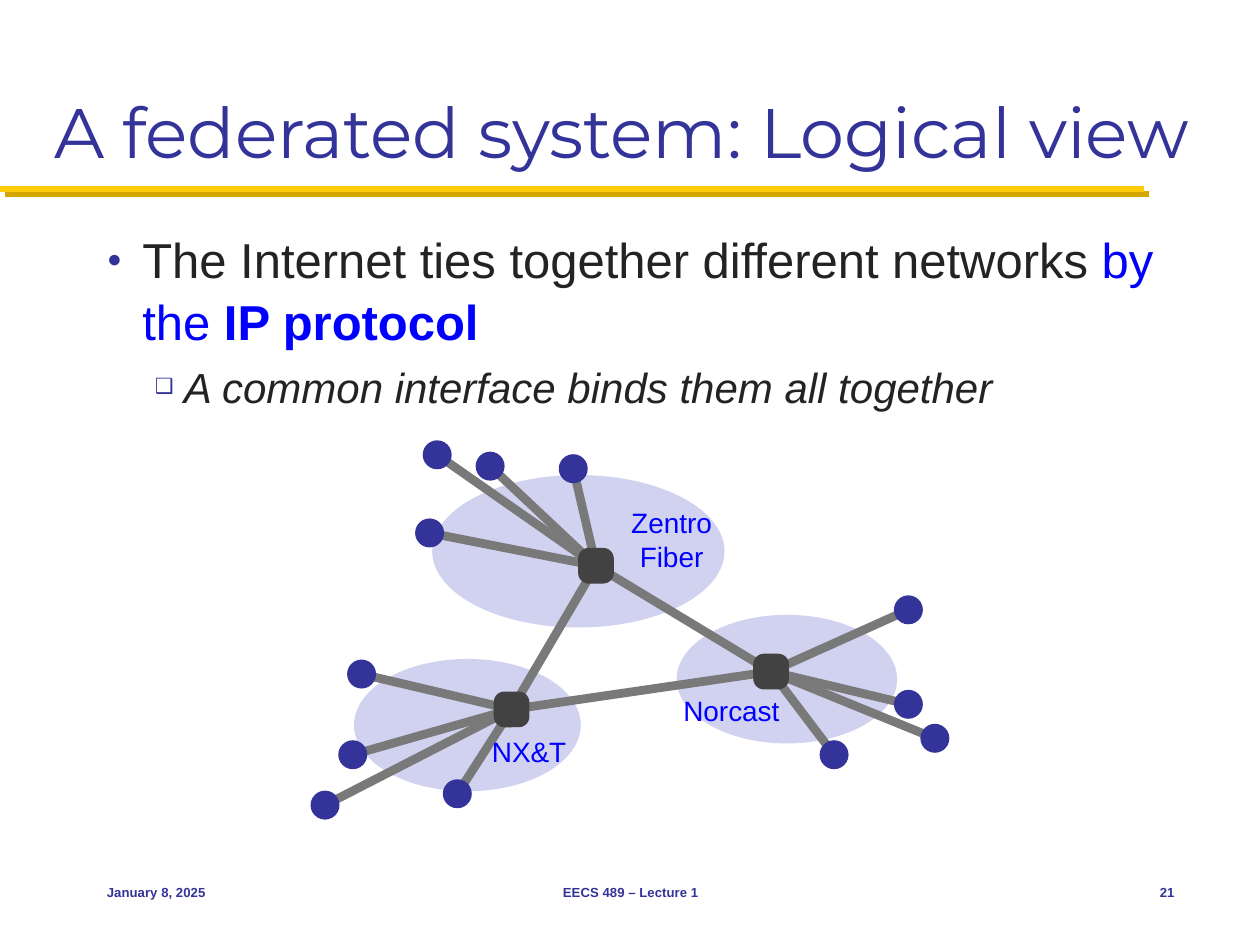
import lxml.etree
import pptx
import pptx.dml.color
import pptx.enum.shapes
import pptx.enum.text
import pptx.oxml.ns
import pptx.util

COLUMNS, ROWS = 100, 75
NAVY, INK, BLUE, GOLD = "333399", "232323", "0000FF", "FFCB05"
CLOUD, LINK, ROUTER = "D1D1F0", "797979", "424242"
HOST_SIZE, ROUTER_SIZE = 2.3, 2.84
SHAPE = pptx.enum.shapes.MSO_SHAPE
ALIGN = pptx.enum.text.PP_ALIGN
ANCHOR = pptx.enum.text.MSO_ANCHOR

NETWORKS = [
    {"label": ["Norcast"], "label_box": (52.1, 54.6, 11.9, 3.5),
     "cloud": (53.7, 48.8, 17.5, 10.2), "router": (61.2, 53.3),
     "hosts": [(72.1, 48.4), (66.2, 59.9), (72.1, 55.9), (74.2, 58.6)]},
    {"label": ["Zentro", "Fiber"], "label_box": (48.9, 39.7, 8.8, 6.2),
     "cloud": (34.3, 37.7, 23.2, 12.1), "router": (47.3, 44.9),
     "hosts": [(34.1, 42.3), (34.7, 36.1), (38.9, 37), (45.5, 37.2)]},
    {"label": ["NX&T"], "label_box": (38.5, 57.9, 7, 3.5),
     "cloud": (28.1, 52.3, 18, 10.5), "router": (40.6, 56.3),
     "hosts": [(28.7, 53.5), (36.3, 63), (28, 59.9), (25.8, 63.9)]},
]


def grid(cells):
    """Turn a count of grid cells into a length."""
    return pptx.util.Inches(cells / 10)


def color(hex_code):
    """Turn a hex string into a colour."""
    return pptx.dml.color.RGBColor.from_string(hex_code)


def add_xml(parent, tag, **attributes):
    """Append a drawing element to a parent and return it."""
    return lxml.etree.SubElement(parent, pptx.oxml.ns.qn("a:" + tag), attributes)


def write(paragraph, text, size=16, font="Arial", fill=BLUE, bold=False, italic=False):
    """Add a formatted run of text to a paragraph."""
    run = paragraph.add_run()
    run.text = text
    run.font.size = pptx.util.Pt(size)
    run.font.name = font
    run.font.bold = bold
    run.font.italic = italic
    run.font.color.rgb = color(fill)


def place(element, left, top, width, height):
    """Move and size an element on the grid."""
    element.left, element.top = grid(left), grid(top)
    element.width, element.height = grid(width), grid(height)


def add_bullet(paragraph, symbol, margin, hanging):
    """Give a paragraph a half-size navy bullet and a hanging indent."""
    properties = paragraph._p.get_or_add_pPr()
    properties.set("marL", str(grid(margin)))
    properties.set("indent", str(-grid(hanging)))
    add_xml(add_xml(properties, "buClr"), "srgbClr", val=NAVY)
    add_xml(properties, "buSzPct", val="50000")
    add_xml(properties, "buFont", typeface="Arial")
    add_xml(properties, "buChar", char=symbol)


def add_line(slide, start, end, fill, weight):
    """Draw a straight line and return its empty effect list."""
    line = slide.shapes.add_connector(
        pptx.enum.shapes.MSO_CONNECTOR.STRAIGHT, *map(grid, (*start, *end)))
    line.line.color.rgb = color(fill)
    line.line.width = pptx.util.Pt(weight)
    return add_xml(line._element.spPr, "effectLst")


def add_solid(slide, preset, box, fill):
    """Draw a filled shape without outline or shadow."""
    solid = slide.shapes.add_shape(preset, *map(grid, box))
    solid.shadow.inherit = False
    solid.fill.solid()
    solid.fill.fore_color.rgb = color(fill)
    solid.line.fill.background()
    return solid


def centred(center, size):
    """Return the square box of a given size around a center."""
    return center[0] - size / 2, center[1] - size / 2, size, size


def add_text(slide, box, lines, align, inset=None, **style):
    """Add a vertically centred text box with one paragraph per line."""
    frame = slide.shapes.add_textbox(*map(grid, box)).text_frame
    frame.word_wrap = True
    frame.vertical_anchor = ANCHOR.MIDDLE
    if inset is not None:
        frame.margin_left = frame.margin_right = grid(inset)
        frame.margin_top = frame.margin_bottom = grid(inset)
    for index, line in enumerate(lines):
        paragraph = frame.add_paragraph() if index else frame.paragraphs[0]
        paragraph.alignment = align
        write(paragraph, line, **style)


def add_title(slide):
    """Fill the title and underline it with a shadowed gold rule."""
    effects = add_line(slide, (0, 15), (90.8, 15), GOLD, 3.5)
    shadow = add_xml(effects, "outerShdw", dist=str(pptx.util.Pt(4.2)),
                     dir=str(45 * 60000), algn="ctr", rotWithShape="0")
    add_xml(shadow, "srgbClr", val="D3A600")
    title = slide.shapes.title
    place(title, 3.3, 1.7, 93.3, 12.5)
    frame = title.text_frame
    frame.auto_size = pptx.enum.text.MSO_AUTO_SIZE.NONE
    frame.vertical_anchor = ANCHOR.BOTTOM
    frame.paragraphs[0].alignment = ALIGN.LEFT
    write(frame.paragraphs[0], "A federated system: Logical view",
          size=40, font="Montserrat", fill=NAVY)


def add_body(slide):
    """Fill the body with the main point and its sub-point."""
    body = slide.placeholders[1]
    place(body, 7.5, 17.5, 86.7, 48.3)
    frame = body.text_frame
    frame.auto_size = pptx.enum.text.MSO_AUTO_SIZE.NONE
    point, detail = frame.paragraphs[0], frame.add_paragraph()
    detail.level = 1
    add_bullet(point, "●", 2.8, 2.8)
    add_bullet(detail, "❑", 6.1, 2.3)
    point.space_before, detail.space_before = pptx.util.Pt(0), pptx.util.Pt(5)
    point.line_spacing = detail.line_spacing = 1.05
    write(point, "The Internet ties together different networks ", size=28, fill=INK)
    write(point, "by the ", size=28)
    write(point, "IP protocol", size=28, bold=True)
    write(detail, "A common interface binds them all together",
          size=24, fill=INK, italic=True)


def add_networks(slide):
    """Draw the clouds, links, hosts, routers and labels in layers."""
    routers = [network["router"] for network in NETWORKS]
    for network in NETWORKS:
        add_solid(slide, SHAPE.OVAL, network["cloud"], CLOUD)
    for network in NETWORKS:
        for host in network["hosts"]:
            add_line(slide, host, network["router"], LINK, 5)
    for index, router in enumerate(routers):
        add_line(slide, routers[index - 1], router, LINK, 5)
    for network in NETWORKS:
        for host in network["hosts"]:
            add_solid(slide, SHAPE.OVAL, centred(host, HOST_SIZE), NAVY)
        router = add_solid(slide, SHAPE.ROUNDED_RECTANGLE,
                           centred(network["router"], ROUTER_SIZE), ROUTER)
        router.adjustments[0] = 0.3
        add_text(slide, network["label_box"], network["label"], ALIGN.CENTER, inset=0.4)


def add_footer(slide):
    """Add the date, the course and the slide number."""
    for left, width, text, align in [
            (7.5, 20.8, "January 8, 2025", ALIGN.LEFT),
            (34.2, 31.7, "EECS 489 – Lecture 1", ALIGN.CENTER),
            (87.5, 6.7, "21", ALIGN.RIGHT)]:
        add_text(slide, (left, 68.3, width, 5), [text], align,
                 size=7.5, fill=NAVY, bold=True)


def main():
    """Build the slide and save it."""
    deck = pptx.Presentation()
    deck.slide_width, deck.slide_height = grid(COLUMNS), grid(ROWS)
    slide = deck.slides.add_slide(deck.slide_layouts[1])
    add_title(slide)
    add_body(slide)
    add_networks(slide)
    add_footer(slide)
    deck.save("out.pptx")


if __name__ == "__main__":
    main()
